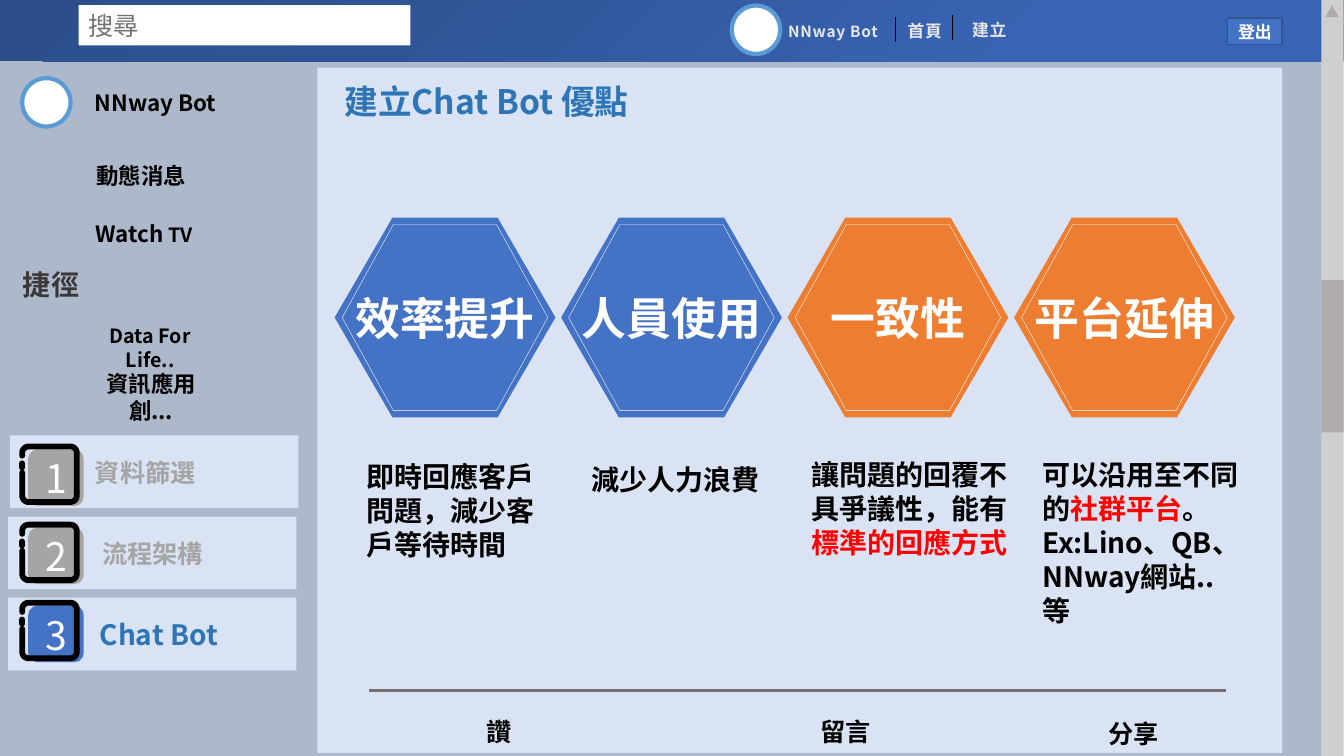
import math

import pptx
import pptx.dml.color
import pptx.enum.shapes
import pptx.enum.text
import pptx.oxml.ns
import pptx.util
from lxml import etree

SHAPE = pptx.enum.shapes.MSO_SHAPE
ALIGN = pptx.enum.text.PP_ALIGN
ANCHOR = pptx.enum.text.MSO_ANCHOR
qn = pptx.oxml.ns.qn

SLIDE_WIDTH, SLIDE_HEIGHT = pptx.util.Inches(13.33), pptx.util.Inches(7.5)
COLUMN, ROW = SLIDE_WIDTH / 160, SLIDE_HEIGHT / 90
FONT = "Noto Sans CJK SC"
LINE_HEIGHT = 1.22

COLORS = {
    "backdrop": "ADB9CA", "panel": "DAE3F3", "white": "FFFFFF", "black": "000000",
    "blue": "4472C4", "orange": "ED7D31", "title": "2E75B6", "ring": "5B9BD5",
    "button_edge": "325491", "muted": "A5A5A5", "menu": "E7E6E6", "heading": "3B3838",
    "hint": "767171", "track": "D0CECE", "thumb": "AFABAB", "red": "FF0000",
}
HEADER_STOPS = [(0, "3864B3"), (23, "3864B3"), (69, "2F5597"), (97, "2C4F8C")]


def color(name):
    return pptx.dml.color.RGBColor.from_string(COLORS[name])


def place(left, top, width, height):
    """Turn columns and rows of the grid into EMU."""
    return [round(n * unit) for n, unit in
            ((left, COLUMN), (top, ROW), (width, COLUMN), (height, ROW))]


def apply_format(target, values):
    for name, value in values.items():
        setattr(target, name, value)


def add_block(slide, cell, fill=None, kind=SHAPE.RECTANGLE, line=None, weight=1):
    block = slide.shapes.add_shape(kind, *place(*cell))
    paint(block, fill, line, weight)
    return block


def paint(block, fill=None, line=None, weight=1):
    block.shadow.inherit = False
    if fill:
        block.fill.solid()
        block.fill.fore_color.rgb = color(fill)
    else:
        block.fill.background()
    if line:
        block.line.color.rgb = color(line)
        block.line.width = pptx.util.Pt(weight)
    else:
        block.line.fill.background()


def write(block, runs, size, ink="black", align=ALIGN.LEFT, bold=True, font=FONT,
          spacing=0, **frame_format):
    """Fill a shape with one paragraph; runs is a text or (text, ink, size) parts."""
    frame = block.text_frame
    apply_format(frame, {"word_wrap": True, "vertical_anchor": ANCHOR.MIDDLE, **frame_format})
    paragraph = frame.paragraphs[0]
    apply_format(paragraph, {"alignment": align,
                             "line_spacing": pptx.util.Pt(round(size * LINE_HEIGHT, 1))})
    for words, run_ink, run_size in [(runs, ink, size)] if isinstance(runs, str) else runs:
        run = paragraph.add_run()
        run.text = words
        apply_format(run.font, {"size": pptx.util.Pt(run_size), "bold": bold, "name": font})
        run.font.color.rgb = color(run_ink)
        properties = run.font._element
        etree.SubElement(properties, qn("a:ea"), typeface=FONT)
        if spacing:
            properties.set("spc", str(spacing))


def add_label(slide, cell, runs, size, **text_format):
    write(slide.shapes.add_textbox(*place(*cell)), runs, size, **text_format)


def add_rule(slide, start, end, ink, weight):
    rule = slide.shapes.add_connector(pptx.enum.shapes.MSO_CONNECTOR.STRAIGHT,
                                      *place(*start, *end))
    rule.line.color.rgb = color(ink)
    rule.line.width = pptx.util.Pt(weight)
    etree.SubElement(rule._element.spPr, qn("a:effectLst"))
    return rule


def add_outline(slide, points, ink, weight, close=False):
    corners = [(round(x * COLUMN), round(y * ROW)) for x, y in points]
    builder = slide.shapes.build_freeform(*corners[0])
    builder.add_line_segments(corners[1:], close=close)
    outline = builder.convert_to_shape()
    paint(outline, None, ink, weight)
    return outline


def add_avatar(slide, left, top):
    add_block(slide, (left, top, 6, 5.76), "white", SHAPE.OVAL, "white")
    add_block(slide, (left + 0.12, top + 0.06, 5.76, 5.76), None, SHAPE.OVAL, "ring", 3)


def add_header(slide):
    header = add_block(slide, (-0.96, -1.32, 161.88, 8.64), "blue")
    header.fill.gradient()
    gradient = header._element.spPr.find(qn("a:gradFill"))
    for child in list(gradient):
        gradient.remove(child)
    stops = etree.SubElement(gradient, qn("a:gsLst"))
    for share, shade in HEADER_STOPS:
        stop = etree.SubElement(stops, qn("a:gs"), pos=str(share * 1000))
        etree.SubElement(stop, qn("a:srgbClr"), val=shade)
    circle = etree.SubElement(gradient, qn("a:path"), attrib={"path": "circle"})
    etree.SubElement(circle, qn("a:fillToRect"), l="100000", t="100000")

    write(add_block(slide, (9.36, 0.6, 39.48, 4.8), "white"), "搜尋", 18, "hint",
          bold=False, font="Calibri")
    add_avatar(slide, 87, 0.6)
    for left, top, width, words, size in (
            (91.68, -0.6, 15, "NNway Bot", 11),
            (106.56, -0.72, 7.08, "首頁", 12),
            (114.24, -0.84, 7.08, "建立", 12)):
        add_label(slide, (left, top, width, 8.64), words, size, ink="menu",
                  align=ALIGN.CENTER, spacing=50)
    for left, top in ((106.56, 2.04), (113.4, 1.8)):
        add_rule(slide, (left, top), (left, top + 3), "black", 0.5)
    write(add_block(slide, (146.16, 2.16, 6.48, 3.12), "blue", line="button_edge"),
          "登出", 12, "white", ALIGN.CENTER, margin_left=0, margin_right=0)


def add_sidebar(slide):
    add_avatar(slide, 2.52, 9.24)
    add_label(slide, (10.08, 7.92, 24.24, 8.64), "NNway Bot", 16)
    add_label(slide, (10.32, 16.56, 15.6, 8.64), "動態消息", 16)
    add_label(slide, (9.36, 25.8, 15.6, 3.96),
              [("Watch", "black", 16), (" TV", "black", 14)], 16, align=ALIGN.CENTER)
    add_label(slide, (1.56, 29.52, 24.24, 8.64), "捷徑", 20, ink="heading")
    add_label(slide, (9.24, 38.88, 17.28, 4.92), "Data For Life..", 14, align=ALIGN.CENTER)
    add_label(slide, (9.6, 44.76, 16.8, 4.92), "資訊應用創...", 16, align=ALIGN.CENTER)


def arc(center_x, center_y, radius, start, steps=6):
    """Points of a quarter turn, clockwise on the slide, from a start angle."""
    angles = [math.radians(start + 90 * step / steps) for step in range(steps + 1)]
    return [(center_x + radius * math.cos(a), center_y + radius * math.sin(a)) for a in angles]


def add_badge(slide, left, top, number, fill):
    """A numbered square inside a broken, round-cornered frame."""
    write(add_block(slide, (left + 0.72, top + 0.36, 6.6, 6.72), fill, SHAPE.ROUNDED_RECTANGLE),
          number, 28, "white", ALIGN.CENTER, bold=False)
    right, bottom, radius = 6.5, 6.6, 0.75
    far_x, far_y = right - radius, bottom - radius
    strokes = (
        [(right, 5.5), *arc(far_x, far_y, radius, 0), (0.6, bottom)],
        [*arc(radius, far_y, radius, 90), (0, 3.1)],
        [(0, 1.1), *arc(radius, radius, radius, 180), *arc(far_x, radius, radius, 270),
         (right, 5.5)],
    )
    pieces = [add_outline(slide, [(left + x, top + y) for x, y in stroke], "black", 4.13)
              for stroke in strokes]
    pieces.append(add_rule(slide, (left, top + 2.5), (left, top + 2), "black", 4.13))
    for piece in pieces:
        piece.line._get_or_add_ln().set("cap", "rnd")


def add_steps(slide):
    steps = (("資料篩選", 18, "muted", "muted", 1.2, 10.1),
             ("流程架構", 18, "muted", "muted", 0.96, 11.2),
             ("Chat Bot", 20, "title", "blue", 0.96, 10.9))
    for index, (words, size, ink, badge, left, indent) in enumerate(steps):
        row = add_block(slide, (left, 51.84 + 9.66 * index, 34.32, 8.64), "panel")
        write(row, words, size, ink, margin_left=round(indent * COLUMN))
        add_badge(slide, 2.64, 53.16 + 9.3 * index, str(index + 1), badge)


def add_benefit(slide, left, words, fill):
    top, width, height = 25.92, 26.28, 23.76
    hexagon = add_block(slide, (left, top, width, height), fill, SHAPE.HEXAGON)
    hexagon.adjustments[0], hexagon.adjustments[1] = 0.289, 1.155
    write(hexagon, words, 32, "white", ALIGN.CENTER, word_wrap=False,
          margin_left=0, margin_right=0, margin_top=0, margin_bottom=0)
    gap_x, gap_y, slant = 0.9, 0.8, 6.1
    west, east, north, south = left + gap_x, left + width - gap_x, top + gap_y, top + height - gap_y
    middle = top + height / 2
    add_outline(slide, [(west + slant, south), (west, middle), (west + slant, north),
                        (east - slant, north), (east, middle), (east - slant, south)],
                "white", 0.25, close=True)


def add_benefits(slide):
    benefits = (
        ("效率提升", "blue", (42.48, 54, 23.76, 13.32),
         [("即時回應客戶問題，減少客戶等待時間", "black", 20)]),
        ("人員使用", "blue", (69.24, 54.36, 22.8, 5.28), [("減少人力浪費", "black", 20)]),
        ("一致性", "orange", (95.4, 53.76, 26.28, 13.32),
         [("讓問題的回覆不具爭議性，能有", "black", 20), ("標準的回應方式", "red", 20)]),
        ("平台延伸", "orange", (122.88, 53.76, 26.28, 17.4),
         [("可以沿用至不同的", "black", 20), ("社群平台", "red", 20),
          ("。Ex:Lino、QB、NNway網站..等", "black", 20)]),
    )
    for index, (words, fill, caption_cell, caption) in enumerate(benefits):
        add_benefit(slide, 39.84 + 26.96 * index, words, fill)
        add_label(slide, caption_cell, caption, 20, vertical_anchor=ANCHOR.TOP)


def main():
    deck = pptx.Presentation()
    deck.slide_width, deck.slide_height = SLIDE_WIDTH, SLIDE_HEIGHT
    slide = deck.slides.add_slide(deck.slide_layouts[6])
    add_block(slide, (-3.6, -5.52, 163.44, 98.76), "backdrop")
    add_header(slide)
    add_sidebar(slide)
    add_block(slide, (37.8, 8.04, 114.84, 81.6), "panel")
    add_block(slide, (157.32, -4.44, 2.64, 95.28), "track")
    add_block(slide, (157.8, 0.6, 1.56, 1.44), "thumb", SHAPE.ISOSCELES_TRIANGLE)
    add_rule(slide, (43.92, 82.2), (145.92, 82.2), "hint", 2)
    for left, top, width, words in ((56.76, 82.8, 5.16, "讚"), (96.48, 82.8, 9.72, "留言"),
                                    (130.8, 83.04, 9.72, "分享")):
        add_label(slide, (left, top, width, 8.52), words, 18)
    add_label(slide, (39.84, 9, 41.4, 6), "建立Chat Bot 優點", 24, ink="title",
              vertical_anchor=ANCHOR.TOP)
    add_steps(slide)
    add_benefits(slide)
    add_block(slide, (157.32, 33.36, 2.64, 18.12), "thumb")
    deck.save("out.pptx")


if __name__ == "__main__":
    main()
